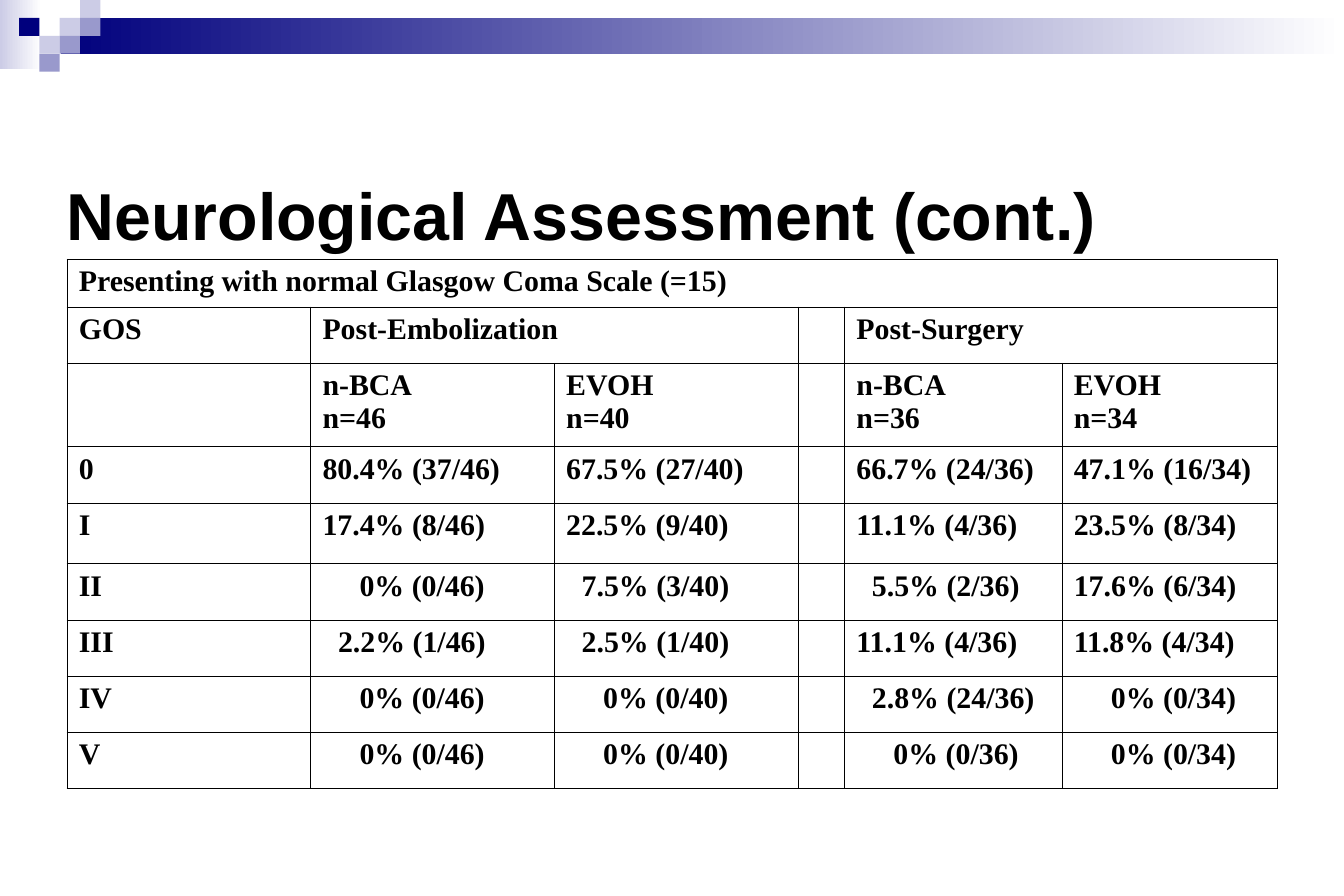
import pptx
import pptx.dml.color
import pptx.enum.shapes
import pptx.enum.text
import pptx.oxml
import pptx.oxml.ns
import pptx.util

Inches = pptx.util.Inches
NAVY, LILAC, PALE, WHITE, BLACK = "00007D", "9999CC", "CCCCE6", "FFFFFF", "000000"


def color(value):
    return pptx.dml.color.RGBColor.from_string(value)


class SlideBuilder:
    table_font = {"name": "Times New Roman", "size": pptx.util.Pt(18), "bold": True}
    title_font = {"name": "Arial", "size": pptx.util.Pt(40), "bold": True}
    border_width = pptx.util.Pt(0.45)
    # Indents that line up percentages shorter than "00.0"
    percent_indents = {1: Inches(0.31), 3: Inches(0.13)}

    def __init__(self, slide):
        self.slide = slide

    def format_text(self, paragraph, font_values):
        for run in paragraph.runs:
            for name, value in font_values.items():
                setattr(run.font, name, value)
            run.font.color.rgb = color(BLACK)

    def rectangle(self, left, top, width, height, *colors):
        shape = self.slide.shapes.add_shape(
            pptx.enum.shapes.MSO_SHAPE.RECTANGLE,
            Inches(left), Inches(top), Inches(width), Inches(height))
        shape.shadow.inherit = False
        shape.line.fill.background()
        if len(colors) == 1:
            shape.fill.solid()
            shape.fill.fore_color.rgb = color(colors[0])
        else:
            shape.fill.gradient()
            shape.fill.gradient_angle = 180
            for stop, value in zip(shape.fill.gradient_stops, colors):
                stop.color.rgb = color(value)

    def title(self, text, left, top, width, height):
        frame = self.slide.shapes.add_textbox(
            Inches(left), Inches(top), Inches(width), Inches(height)).text_frame
        frame.word_wrap = True
        frame.vertical_anchor = pptx.enum.text.MSO_ANCHOR.MIDDLE
        frame.text = text
        self.format_text(frame.paragraphs[0], self.title_font)

    def cell(self, cell, text):
        properties = cell._tc.get_or_add_tcPr()
        for side in ("lnL", "lnR", "lnT", "lnB"):
            properties.append(pptx.oxml.parse_xml(
                f'<a:{side} {pptx.oxml.ns.nsdecls("a")} w="{self.border_width}">'
                f'<a:solidFill><a:srgbClr val="{BLACK}"/></a:solidFill></a:{side}>'))
        cell.fill.background()
        cell.text = text
        percent, sign, _ = text.partition("%")
        for paragraph in cell.text_frame.paragraphs:
            if sign and len(percent) in self.percent_indents:
                indent = self.percent_indents[len(percent)]
                paragraph._p.get_or_add_pPr().set("marL", str(indent))
            self.format_text(paragraph, self.table_font)

    def table(self, left, top, widths, heights, rows, merges):
        table = self.slide.shapes.add_table(
            len(heights), len(widths), Inches(left), Inches(top),
            Inches(sum(widths)), Inches(sum(heights))).table
        table.first_row = table.horz_banding = False
        for column, width in zip(table.columns, widths):
            column.width = Inches(width)
        for row, height in zip(table.rows, heights):
            row.height = Inches(height)
        for row_index, row in enumerate(rows):
            for column_index, text in enumerate(row):
                self.cell(table.cell(row_index, column_index), text)
        for row_index, first, last in merges:
            table.cell(row_index, first).merge(table.cell(row_index, last))


def main():
    presentation = pptx.Presentation()
    presentation.slide_width = Inches(11.25)
    presentation.slide_height = Inches(7.5)
    builder = SlideBuilder(presentation.slides.add_slide(presentation.slide_layouts[6]))

    # Gradient bands
    builder.rectangle(0, 0, 0.35, 0.58, WHITE, PALE)
    builder.rectangle(0.51, 0.15, 10.74, 0.3, WHITE, NAVY)

    # Mosaic squares by column and row
    for column, row, fill in [(2, 1, PALE), (3, 0, PALE), (3, 1, LILAC), (1, 2, PALE),
                              (0, 1, NAVY), (2, 2, LILAC), (1, 3, LILAC)]:
        builder.rectangle(0.16 + 0.17 * column, 0.15 * row, 0.17, 0.15, fill)

    # Outcome table
    rows = [
        ["Presenting with normal Glasgow Coma Scale (=15)", "", "", "", "", ""],
        ["GOS", "Post-Embolization", "", "", "Post-Surgery", ""],
        ["", "n-BCA\nn=46", "EVOH\nn=40", "", "n-BCA\nn=36", "EVOH\nn=34"],
        ["0", "80.4% (37/46)", "67.5% (27/40)", "", "66.7% (24/36)", "47.1% (16/34)"],
        ["I", "17.4% (8/46)", "22.5% (9/40)", "", "11.1% (4/36)", "23.5% (8/34)"],
        ["II", "0% (0/46)", "7.5% (3/40)", "", "5.5% (2/36)", "17.6% (6/34)"],
        ["III", "2.2% (1/46)", "2.5% (1/40)", "", "11.1% (4/36)", "11.8% (4/34)"],
        ["IV", "0% (0/46)", "0% (0/40)", "", "2.8% (24/36)", "0% (0/34)"],
        ["V", "0% (0/46)", "0% (0/40)", "", "0% (0/36)", "0% (0/34)"],
    ]
    builder.table(0.56, 2.17, [2.04, 2.04, 2.04, 0.39, 1.82, 1.8],
                  [0.4, 0.47, 0.7, 0.47, 0.51] + [0.47] * 4,
                  rows, [(0, 0, 5), (1, 1, 2), (1, 4, 5)])

    # Title
    builder.title("Neurological Assessment (cont.)", 0.46, 1.08, 10.06, 1.42)

    presentation.save("out.pptx")


if __name__ == "__main__":
    main()
